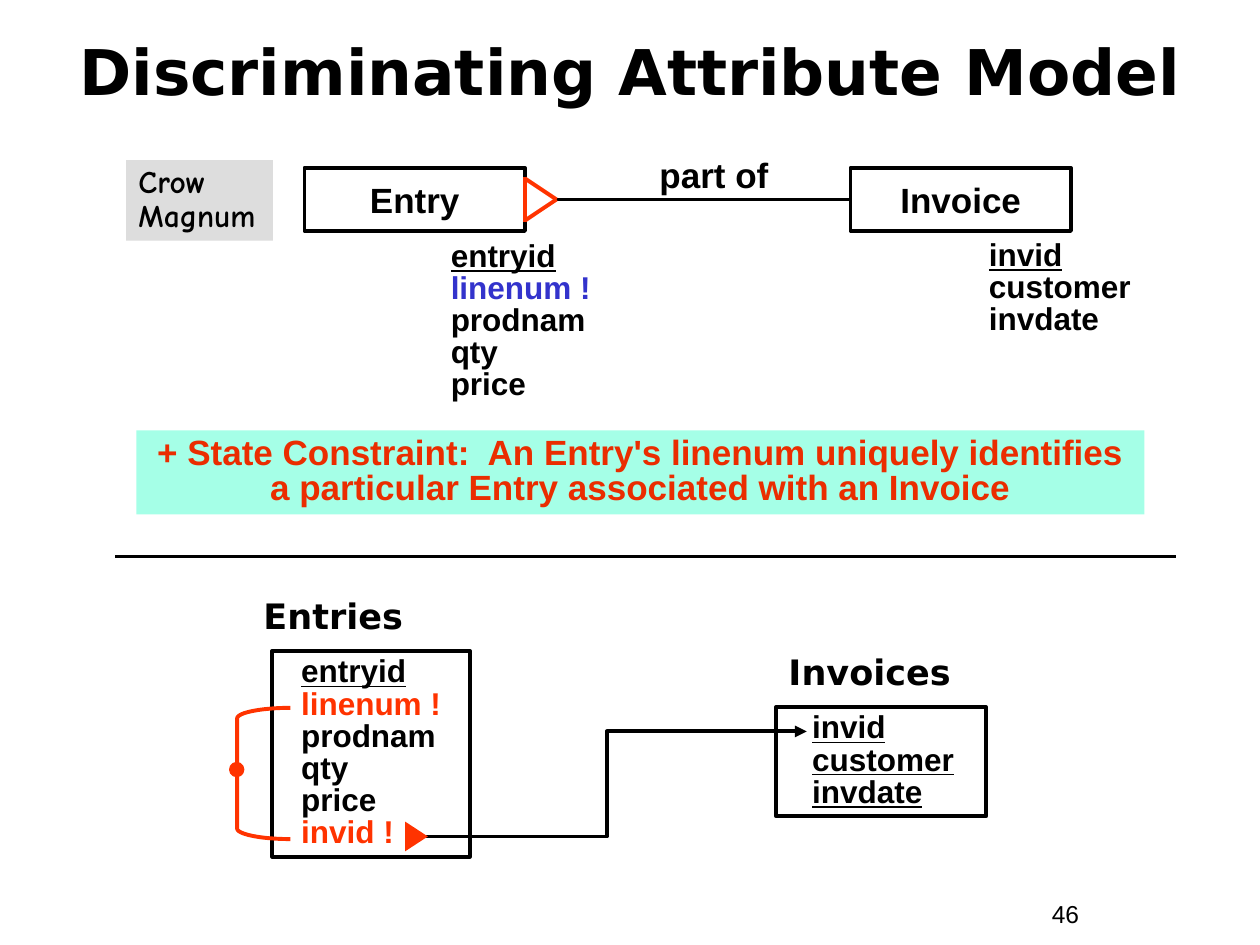
from pptx import Presentation
from pptx.dml.color import RGBColor
from pptx.enum import shapes, text
from pptx.oxml.ns import qn
from pptx.util import Pt
from lxml import etree

BLACK = RGBColor(0x00, 0x00, 0x00)
ORANGE = RGBColor(0xFF, 0x33, 0x00)
RUST = RGBColor(0xEA, 0x2D, 0x00)
BLUE = RGBColor(0x33, 0x33, 0xCC)
GREY = RGBColor(0xDD, 0xDD, 0xDD)
MINT = RGBColor(0xA5, 0xFF, 0xE7)
LINE_WIDTH = Pt(2.25)
SHAPE = shapes.MSO_SHAPE
LEFT, CENTER = text.PP_ALIGN.LEFT, text.PP_ALIGN.CENTER


def write(shape, rows, size, font="Arial", bold=True, align=LEFT, spacing=None,
          indent=0, anchor=text.MSO_ANCHOR.TOP, wrap=True):
    """Write rows of (words, colour, underlined), one paragraph each."""
    frame = shape.text_frame
    frame.word_wrap = wrap
    frame.auto_size = text.MSO_AUTO_SIZE.NONE
    frame.vertical_anchor = anchor
    frame.text = "\n".join(words for words, _, _ in rows)
    for paragraph, (_, colour, underlined) in zip(frame.paragraphs, rows):
        paragraph.alignment = align
        if spacing:
            paragraph.line_spacing = spacing
        if indent:
            paragraph._p.get_or_add_pPr().set("marL", str(Pt(indent)))
        paragraph.font.name = font
        paragraph.font.size = Pt(size)
        paragraph.font.bold = bold
        paragraph.font.underline = underlined
        paragraph.font.color.rgb = colour


def add_label(slide, left, top, width, height, rows, size, **style):
    """Add a plain text box."""
    label = slide.shapes.add_textbox(Pt(left), Pt(top), Pt(width), Pt(height))
    write(label, rows, size, **style)


def add_shape(slide, kind, left, top, width, height, fill=None, line=None):
    """Add a flat preset shape with optional fill and outline."""
    shape = slide.shapes.add_shape(kind, Pt(left), Pt(top), Pt(width), Pt(height))
    shape.shadow.inherit = False
    for part, colour in ((shape.fill, fill), (shape.line.fill, line)):
        if colour is None:
            part.background()
        else:
            part.solid()
            part.fore_color.rgb = colour
    if line is not None:
        shape.line.width = LINE_WIDTH
    return shape


def add_line(slide, start, end, colour=BLACK, kind=shapes.MSO_CONNECTOR.STRAIGHT,
             arrow=False):
    """Connect two points, with an optional arrowhead at the end."""
    connector = slide.shapes.add_connector(kind, *map(Pt, (*start, *end)))
    connector.line.color.rgb = colour
    connector.line.width = LINE_WIDTH
    if arrow:
        etree.SubElement(connector.line._get_or_add_ln(), qn("a:tailEnd"), type="triangle")
    etree.SubElement(connector._element.spPr, qn("a:effectLst"))


def add_title(slide, left, top, width, height):
    """Place and format the slide title."""
    title = slide.shapes.title
    title.left, title.top, title.width, title.height = map(Pt, (left, top, width, height))
    write(title, [("Discriminating Attribute Model", BLACK, False)], 36,
          font="DejaVu Sans", align=CENTER, anchor=text.MSO_ANCHOR.MIDDLE)


def add_entity_model(slide, left, top, width, height):
    """Draw Entry and Invoice with their attributes and the relation between them."""
    box_width, middle = 126, top + height / 2
    invoice_left = left + width - box_width
    for name, x in (("Invoice", invoice_left), ("Entry", left)):
        entity = add_shape(slide, SHAPE.RECTANGLE, x, top, box_width, height, line=BLACK)
        write(entity, [(name, BLACK, False)], 20, align=CENTER,
              anchor=text.MSO_ANCHOR.MIDDLE, wrap=False)

    entry_right = left + box_width
    tip = (entry_right + 18, middle)
    add_line(slide, (invoice_left, middle), tip)
    add_label(slide, entry_right + 66, top - 12, 84, 32,
              [("part of", BLACK, False)], 20, align=CENTER)
    for y in (middle - 12, middle + 12):
        add_line(slide, tip, (entry_right, y), ORANGE)
    add_line(slide, (entry_right, middle - 13), (entry_right, middle + 13), ORANGE)

    add_label(slide, invoice_left + 72, top + 38, 102, 63,
              [("invid", BLACK, True), ("customer", BLACK, False),
               ("invdate", BLACK, False)], 18, spacing=0.85)
    add_label(slide, left + 76.5, top + 38.5, 96, 99,
              [("entryid", BLACK, True), ("linenum !", BLUE, False),
               ("prodnam", BLACK, False), ("qty", BLACK, False),
               ("price", BLACK, False)], 18, spacing=0.85)


def add_notation(slide, left, top, width, height):
    """Add the tag that names the notation."""
    tag = add_shape(slide, SHAPE.RECTANGLE, left, top, width, height, fill=GREY)
    write(tag, [("Crow\vMagnum", BLACK, False)], 18, font="Comic Neue", spacing=0.9)


def add_constraint(slide, left, top, width, height):
    """Add the highlighted state constraint."""
    band = add_shape(slide, SHAPE.RECTANGLE, left, top, width, height, fill=MINT)
    words = ("+ State Constraint:  An Entry's linenum uniquely identifies "
             "a particular Entry associated with an Invoice")
    write(band, [(words, RUST, False)], 20, align=CENTER, spacing=0.85)


def add_relation(slide, left, top, width, height, name, name_offset, rows, indent):
    """Draw a relation box with its name above."""
    add_label(slide, left + name_offset, top - 36, 155, 32,
              [(name, BLACK, False)], 20, font="DejaVu Sans")
    box = add_shape(slide, SHAPE.RECTANGLE, left, top, width, height, line=BLACK)
    write(box, rows, 18, spacing=0.85, indent=indent)


def add_relational_model(slide, left, top, width, height):
    """Draw both relations, the foreign key arrow and the unique key bracket."""
    add_relation(slide, left, top, 113, height, "Entries", -12,
                 [("entryid", BLACK, True), ("linenum !", ORANGE, False),
                  ("prodnam", BLACK, False), ("qty", BLACK, False),
                  ("price", BLACK, False), ("invid !", ORANGE, False)], 9.5)
    invoices_left = left + width - 120
    add_relation(slide, invoices_left, top + 32, 120, 62.5, "Invoices", 0,
                 [(name, BLACK, True) for name in ("invid", "customer", "invdate")], 13.5)

    add_line(slide, (left + 77, top + 106), (invoices_left + 17.5, top + 46),
             kind=shapes.MSO_CONNECTOR.ELBOW, arrow=True)
    marker = add_shape(slide, SHAPE.ISOSCELES_TRIANGLE, left + 74, top + 99.5, 17, 13,
                       fill=ORANGE)
    marker.rotation = 90
    bracket = add_shape(slide, SHAPE.LEFT_BRACKET, left - 20, top + 32.5, 30.5, 75,
                        line=ORANGE)
    bracket.adjustments[0] = 0.2
    add_shape(slide, SHAPE.OVAL, left - 23.5, top + 64.5, 6.5, 6.5, fill=ORANGE, line=ORANGE)


def main():
    """Build and save the slide."""
    presentation = Presentation()
    presentation.slide_width, presentation.slide_height = Pt(720), Pt(540)
    slide = presentation.slides.add_slide(presentation.slide_layouts[5])
    add_title(slide, 24, 7, 672, 66)
    add_notation(slide, 72, 91.5, 84, 46)
    add_entity_model(slide, 174, 96, 438, 36)
    add_line(slide, (66, 318), (672, 318))
    add_constraint(slide, 78, 246, 576, 48)
    add_relational_model(slide, 155.5, 372, 408, 117.5)
    add_label(slide, 594, 510, 66, 24, [("46", BLACK, False)], 14, bold=False)
    presentation.save("out.pptx")


if __name__ == "__main__":
    main()
